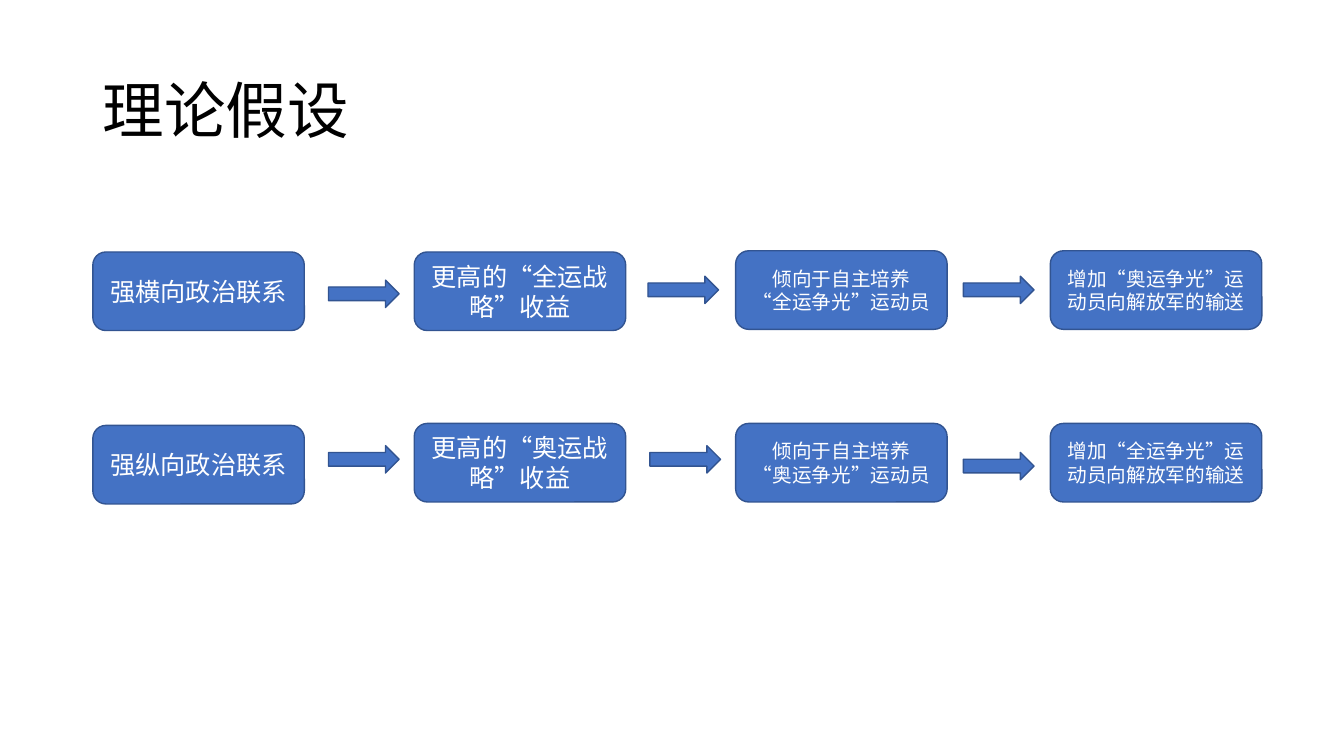
"""Builds the slide of two hypothesis chains."""
from dataclasses import dataclass

from lxml.etree import SubElement
from pptx import Presentation
from pptx.dml.color import RGBColor as RGB
from pptx.enum.lang import MSO_LANGUAGE_ID as LANG
from pptx.enum.shapes import MSO_SHAPE as SHAPE
from pptx.enum.text import MSO_ANCHOR as ANCHOR, PP_ALIGN as ALIGN
from pptx.oxml.ns import qn
from pptx.shapes.autoshape import Shape
from pptx.slide import Slide
from pptx.util import Cm, Pt


@dataclass(frozen=True)
class Theme:
    """Colours, font and type sizes."""
    fill: RGB = RGB.from_string("4472C4")
    line: RGB = RGB.from_string("325491")
    light: RGB = RGB.from_string("FFFFFF")
    dark: RGB = RGB.from_string("000000")
    font: str = "Noto Sans CJK SC"
    title: int = 44
    large: int = 18
    small: int = 14


@dataclass(frozen=True)
class Step:
    """One box of a chain."""
    top: float
    text: str


@dataclass(frozen=True)
class Arrow:
    """One arrow between two boxes."""
    left: float
    top: float


@dataclass(frozen=True)
class Chain:
    """One row of boxes and arrows."""
    steps: tuple[Step, ...]
    arrows: tuple[Arrow, ...]


THEME = Theme()
COLUMNS = (2.34, 10.44, 18.54, 26.47)
SIZES = (THEME.large, THEME.large, THEME.small, THEME.small)
BOX_W, BOX_H = 5.33, 1.98
ARROW_W, ARROW_H = 1.78, 0.69

CHAINS = (
    Chain(
        (Step(6.35, "强横向政治联系"),
         Step(6.35, "更高的“全运战略”收益"),
         Step(6.32, "倾向于自主培养\n“全运争光”运动员"),
         Step(6.32, "增加“奥运争光”运动员向解放军的输送")),
        (Arrow(8.28, 7.06), Arrow(16.33, 6.96), Arrow(24.28, 6.96)),
    ),
    Chain(
        (Step(10.72, "强纵向政治联系"),
         Step(10.67, "更高的“奥运战略”收益"),
         Step(10.67, "倾向于自主培养\n“奥运争光”运动员"),
         Step(10.67, "增加“全运争光”运动员向解放军的输送")),
        (Arrow(8.28, 11.23), Arrow(16.38, 11.23), Arrow(24.28, 11.4)),
    ),
)


def write(s: Shape, text: str, size: int, color: RGB, **layout: object) -> None:
    """Fill a shape with formatted paragraphs."""
    tf = s.text_frame
    tf.word_wrap = True
    tf.vertical_anchor = ANCHOR.MIDDLE
    tf.text = text
    font_format = {"size": Pt(size), "name": THEME.font,
                   "language_id": LANG.SIMPLIFIED_CHINESE}
    for p in tf.paragraphs:
        for name, value in layout.items():
            setattr(p, name, value)
        for r in p.runs:
            for name, value in font_format.items():
                setattr(r.font, name, value)
            r.font.color.rgb = color
            SubElement(r._r.get_or_add_rPr(), qn("a:ea"), typeface=THEME.font)


def add_block(slide: Slide, kind: SHAPE, left: float, top: float,
              width: float, height: float) -> Shape:
    """Draw a filled and outlined preset shape."""
    s = slide.shapes.add_shape(kind, Cm(left), Cm(top), Cm(width), Cm(height))
    s.shadow.inherit = False
    s.fill.solid()
    s.fill.fore_color.rgb = THEME.fill
    s.line.color.rgb = THEME.line
    s.line.width = Pt(1)
    return s


def add_chain(slide: Slide, chain: Chain) -> None:
    """Draw the boxes and arrows of one chain."""
    for left, size, step in zip(COLUMNS, SIZES, chain.steps):
        s = add_block(slide, SHAPE.ROUNDED_RECTANGLE, left, step.top, BOX_W, BOX_H)
        write(s, step.text, size, THEME.light, alignment=ALIGN.CENTER)
    for arrow in chain.arrows:
        add_block(slide, SHAPE.RIGHT_ARROW, arrow.left, arrow.top, ARROW_W, ARROW_H)


def main() -> None:
    """Build and save the slide."""
    prs = Presentation()
    prs.slide_width, prs.slide_height = Cm(33.87), Cm(19.05)
    slide = prs.slides.add_slide(prs.slide_layouts[6])
    title = slide.shapes.add_textbox(Cm(2.34), Cm(1.02), Cm(29.21), Cm(3.68))
    write(title, "理论假设", THEME.title, THEME.dark, line_spacing=0.9)
    for chain in CHAINS:
        add_chain(slide, chain)
    prs.save("out.pptx")


if __name__ == "__main__":
    main()
